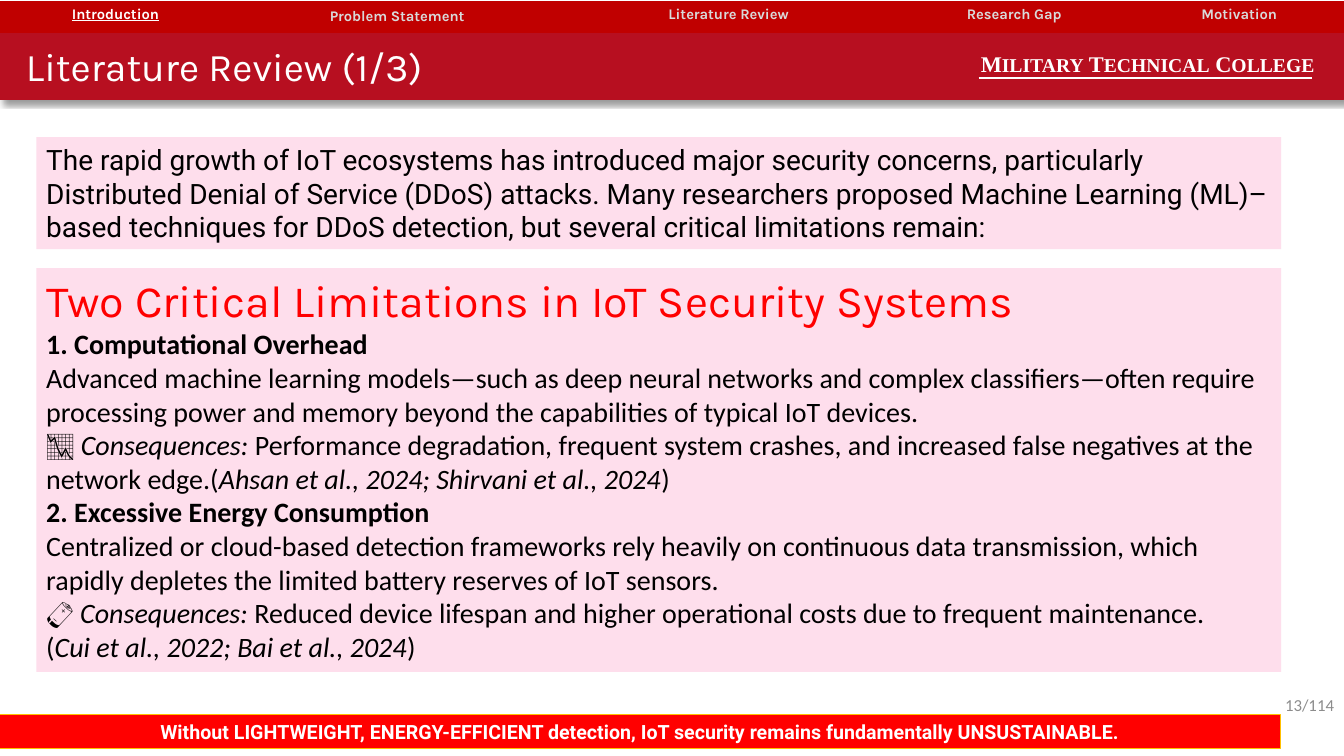
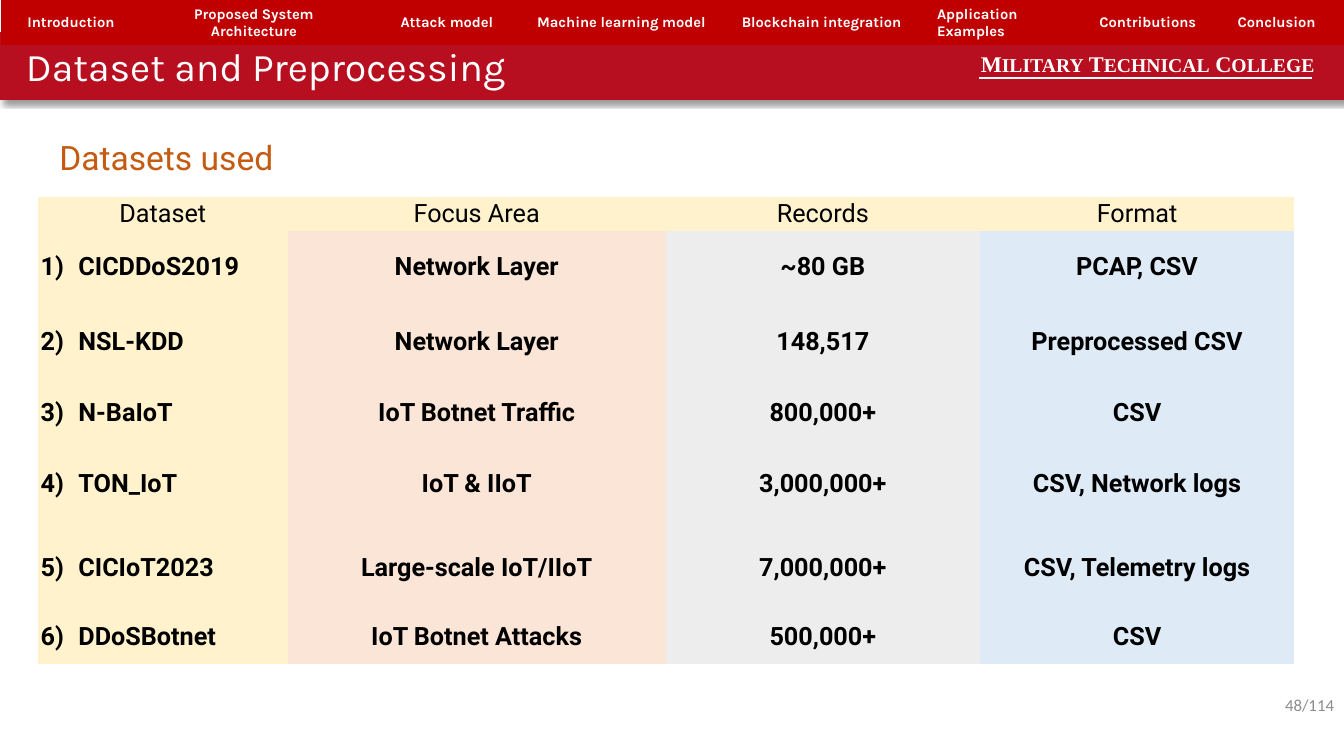
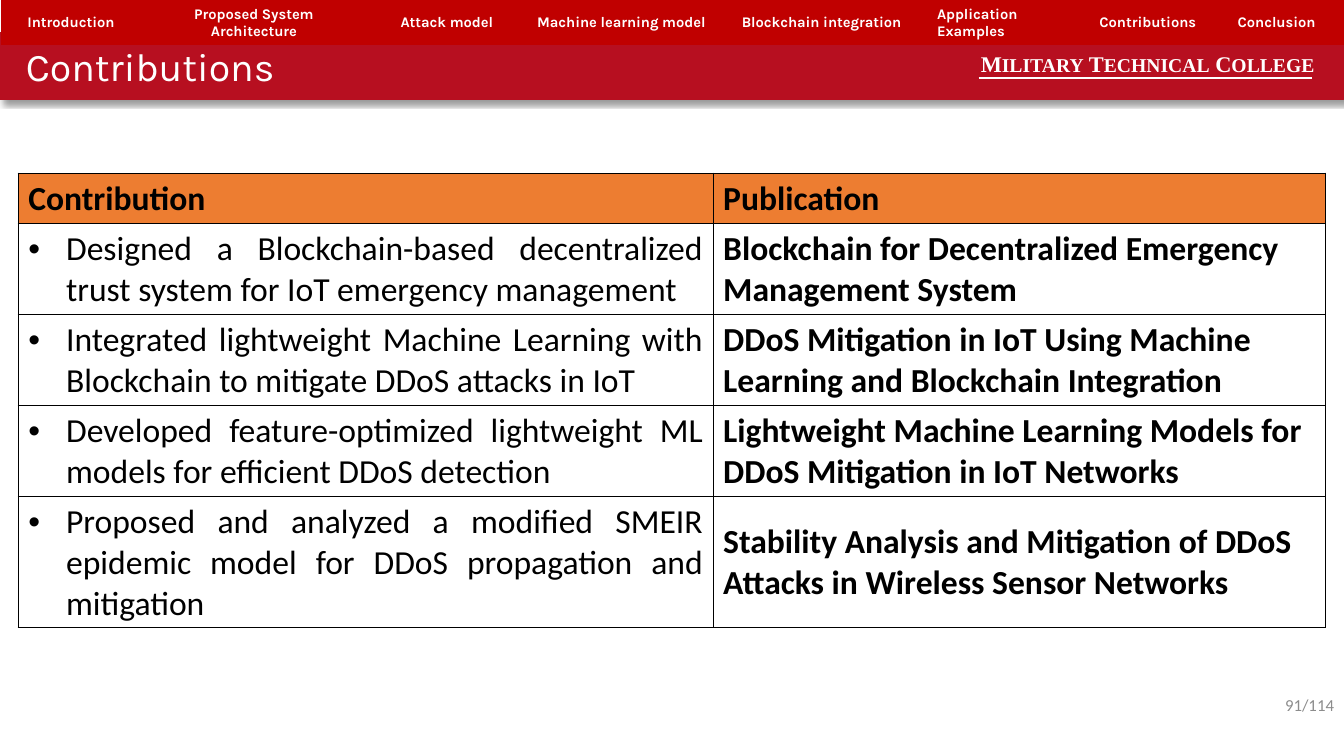
from lxml import etree
from pptx import Presentation
from pptx.dml.color import RGBColor
from pptx.enum.shapes import MSO_CONNECTOR, MSO_SHAPE
from pptx.enum.text import MSO_ANCHOR, PP_ALIGN
from pptx.oxml.ns import qn
from pptx.util import Pt

LEFT, CENTER, RIGHT, JUSTIFY = PP_ALIGN.LEFT, PP_ALIGN.CENTER, PP_ALIGN.RIGHT, PP_ALIGN.JUSTIFY
TOP, MIDDLE = MSO_ANCHOR.TOP, MSO_ANCHOR.MIDDLE
RECTANGLE, STRAIGHT = MSO_SHAPE.RECTANGLE, MSO_CONNECTOR.STRAIGHT

# Shared style
WIDTH, HEIGHT = 960, 540
PAGE_COUNT = 114
HEADING_FONT, BODY_FONT, TEXT_FONT = "Karla", "Roboto", "Calibri"
WORDMARK_FONT = "Times New Roman"
BLACK, WHITE, RED = "000000", "FFFFFF", "FF0000"
BAND, NAVIGATION, INACTIVE = "B70F20", "C00000", "D9D9D9"
PINK, GREY, GOLD = "FEDEEC", "8C8C8C", "FFC000"
ORANGE, BROWN = "ED7D31", "C55A11"
HANGING = 27


def rgb(value):
    return RGBColor.from_string(value)


def add_element(parent, tag, **attributes):
    """Append an XML child such as a:ln and return it."""
    values = {name: str(value) for name, value in attributes.items()}
    return etree.SubElement(parent, qn(tag), values)


def add_bullet(paragraph, bullet):
    """Hang a paragraph behind a sign, or behind a number such as 2)."""
    properties = paragraph._p.get_or_add_pPr()
    properties.set("marL", str(Pt(HANGING)))
    properties.set("indent", str(-Pt(HANGING)))
    if isinstance(bullet, int):
        add_element(properties, "a:buAutoNum", type="arabicParenR", startAt=bullet)
    else:
        add_element(properties, "a:buFont", typeface="Arial")
        add_element(properties, "a:buChar", char=bullet)


def write_text(text_frame, paragraphs, align=LEFT, bullet=None, **style):
    """Fill a frame from a string, or from lists of (text, own format) runs."""
    if isinstance(paragraphs, str):
        paragraphs = [[(paragraphs, {})]]
    text_frame.word_wrap = True
    for index, runs in enumerate(paragraphs):
        paragraph = text_frame.add_paragraph() if index else text_frame.paragraphs[0]
        paragraph.alignment = align
        if bullet:
            add_bullet(paragraph, bullet)
        for text, own_style in runs:
            look = {"font": TEXT_FONT, "size": 20, "color": BLACK, **style, **own_style}
            for line_number, line in enumerate(text.split("\n")):
                if line_number:
                    paragraph.add_line_break()
                if not line:
                    continue
                run = paragraph.add_run()
                run.text = line
                run.font.name = look["font"]
                run.font.size = Pt(look["size"])
                run.font.color.rgb = rgb(look["color"])
                run.font.bold = look.get("bold", False)
                run.font.italic = look.get("italic", False)
                run.font.underline = look.get("underline", False)


class Deck:
    def __init__(self):
        self.presentation = Presentation()
        self.presentation.slide_width = Pt(WIDTH)
        self.presentation.slide_height = Pt(HEIGHT)
        self.slide = None

    # Frame of every slide: page number, title band and wordmark
    def new_slide(self, title, page):
        self.slide = self.presentation.slides.add_slide(self.presentation.slide_layouts[6])
        self.text(744, 489, 216, 29, f"{page}/{PAGE_COUNT}", anchor=MIDDLE,
                  align=RIGHT, size=12, color=GREY)
        band = self.box(0, 23.5, WIDTH, 47.5, BAND, line=BAND)
        self.drop_shadow(band)
        self.text(11.5, 26.5, 618, 41, title, size=28, font=HEADING_FONT, color=WHITE)
        wordmark = []
        for index, word in enumerate(("MILITARY", "TECHNICAL", "COLLEGE")):
            initial = f" {word[0]}" if index else word[0]
            wordmark += [(initial, {"size": 16}), (word[1:], {"size": 14})]
        self.text(693.5, 32.5, 266.5, 26.5, [wordmark], font=WORDMARK_FONT,
                  color=WHITE, bold=True)
        self.rule(699, 937, 56)

    def text(self, left, top, width, height, paragraphs, anchor=TOP, **style):
        shape = self.slide.shapes.add_textbox(Pt(left), Pt(top), Pt(width), Pt(height))
        shape.text_frame.vertical_anchor = anchor
        write_text(shape.text_frame, paragraphs, **style)

    def box(self, left, top, width, height, fill, paragraphs="", line=None,
            anchor=TOP, **style):
        shape = self.slide.shapes.add_shape(
            RECTANGLE, Pt(left), Pt(top), Pt(width), Pt(height))
        shape.shadow.inherit = False
        shape.fill.solid()
        shape.fill.fore_color.rgb = rgb(fill)
        if line:
            shape.line.color.rgb = rgb(line)
            shape.line.width = Pt(0.75)
        else:
            shape.line.fill.background()
        shape.text_frame.vertical_anchor = anchor
        write_text(shape.text_frame, paragraphs, **style)
        return shape

    def drop_shadow(self, shape):
        effects = shape.element.spPr.find(qn("a:effectLst"))
        shadow = add_element(effects, "a:outerShdw", blurRad=Pt(4), dist=Pt(3),
                             dir=45 * 60000, algn="tl", rotWithShape=0)
        color = add_element(shadow, "a:srgbClr", val=BLACK)
        add_element(color, "a:alpha", val=40000)

    def rule(self, start, end, top):
        connector = self.slide.shapes.add_connector(
            STRAIGHT, Pt(start), Pt(top), Pt(end), Pt(top))
        connector.line.color.rgb = rgb(WHITE)
        connector.line.width = Pt(1.5)
        add_element(connector.element.spPr, "a:effectLst")

    def table(self, left, top, columns, rows):
        """Add an empty table with the given column widths and row heights."""
        frame = self.slide.shapes.add_table(
            len(rows), len(columns), Pt(left), Pt(top), Pt(sum(columns)), Pt(sum(rows)))
        table = frame.table
        table.first_row = table.horz_banding = False
        for column, width in zip(table.columns, columns):
            column.width = Pt(width)
        for row, height in zip(table.rows, rows):
            row.height = Pt(height)
        return table

    def cell(self, cell, text, fill=None, border=None, anchor=MIDDLE, margins=None, **style):
        properties = cell._tc.get_or_add_tcPr()
        for side in "LRTB":
            edge = add_element(properties, f"a:ln{side}", w=Pt(1))
            if border:
                add_element(add_element(edge, "a:solidFill"), "a:srgbClr", val=border)
            else:
                add_element(edge, "a:noFill")
        if fill:
            cell.fill.solid()
            cell.fill.fore_color.rgb = rgb(fill)
        else:
            cell.fill.background()
        cell.vertical_anchor = anchor
        if margins:
            cell.margin_left = cell.margin_right = Pt(margins[0])
            cell.margin_top = cell.margin_bottom = Pt(margins[1])
        write_text(cell.text_frame, text, **style)

    def navigation(self, left, top, height, entries):
        """Add the top strip from (label, width, own format) entries."""
        strip = self.table(left, top, [width for _, width, _ in entries], [height])
        for index, (label, _, own_style) in enumerate(entries):
            style = {"align": CENTER, "color": WHITE, **own_style}
            self.cell(strip.cell(0, index), label, fill=NAVIGATION, size=10.5,
                      font=HEADING_FONT, bold=True, **style)


BACKGROUND_ENTRIES = [
    ("Introduction", 165, {"underline": True, "anchor": TOP}),
    ("Problem Statement", 237.5, {"color": INACTIVE}),
    ("Literature Review", 236, {"color": INACTIVE, "anchor": TOP}),
    ("Research Gap", 172, {"color": INACTIVE, "anchor": TOP}),
    ("Motivation", 149.5, {"color": INACTIVE, "anchor": TOP}),
]
SYSTEM_ENTRIES = [
    ("Introduction", 100, {}),
    ("Proposed System Architecture", 161.5, {}),
    ("Attack model", 114, {}),
    ("Machine learning model", 135.5, {}),
    ("Blockchain integration", 150.5, {}),
    ("Application Examples", 114.5, {"align": LEFT}),
    ("Contributions", 86.5, {}),
    ("Conclusion", 97.5, {}),
]


def literature_review(deck):
    deck.new_slide("Literature Review (1/3)", 13)
    bold, italic = {"bold": True}, {"italic": True}

    # Introduction and the two limitations
    deck.box(25.9, 98, 889.2, 80, PINK,
             "The rapid growth of IoT ecosystems has introduced major security concerns, "
             "particularly Distributed Denial of Service (DDoS) attacks. Many researchers "
             "proposed Machine Learning (ML)–based techniques for DDoS detection, but "
             "several critical limitations remain:", anchor=MIDDLE, font=BODY_FONT)
    deck.box(25.9, 191.5, 889.2, 288.5, PINK, [
        [("Two Critical Limitations in IoT Security Systems",
          {"size": 32, "font": HEADING_FONT, "color": RED})],
        [("1. Computational Overhead\n", bold),
         ("Advanced machine learning models—such as deep neural networks and complex "
          "classifiers—often require processing power and memory beyond the capabilities "
          "of typical IoT devices.\n📉 ", {}),
         ("Consequences:", italic),
         (" Performance degradation, frequent system crashes, and increased false "
          "negatives at the network edge.(", {}),
         ("Ahsan et al., 2024; Shirvani et al., 2024", italic), (")", {})],
        [("2. Excessive Energy Consumption\n", bold),
         ("Centralized or cloud-based detection frameworks rely heavily on continuous "
          "data transmission, which rapidly depletes the limited battery reserves of "
          "IoT sensors.\n🔋 ", {}),
         ("Consequences:", italic),
         (" Reduced device lifespan and higher operational costs due to frequent "
          "maintenance.\n(", {}),
         ("Cui et al., 2022; Bai et al., 2024", italic), (")", {})],
    ])

    # Closing statement
    deck.box(0, 510.5, 914.4, 24.5, RED,
             "Without LIGHTWEIGHT, ENERGY-EFFICIENT detection, IoT security remains "
             "fundamentally UNSUSTAINABLE.", line=GOLD, align=CENTER, size=14,
             font=BODY_FONT, color=WHITE, bold=True)
    deck.navigation(0, 0.7, 23, BACKGROUND_ENTRIES)


def datasets(deck):
    deck.new_slide("Dataset and Preprocessing", 48)
    deck.text(35.3, 94.3, 484.5, 36, "Datasets used", size=24, font=BODY_FONT, color=BROWN)

    # Dataset table, one colour per column
    rows = [
        ("Dataset", "Focus Area", "Records", "Format"),
        ("CICDDoS2019", "Network Layer", "~80 GB", "PCAP, CSV"),
        ("NSL-KDD", "Network Layer", "148,517", "Preprocessed CSV"),
        ("N-BaIoT", "IoT Botnet Traffic", "800,000+", "CSV"),
        ("TON_IoT", "IoT & IIoT", "3,000,000+", "CSV, Network logs"),
        ("CICIoT2023", "Large-scale IoT/IIoT", "7,000,000+", "CSV, Telemetry logs"),
        ("DDoSBotnet", "IoT Botnet Attacks", "500,000+", "CSV"),
    ]
    fills = ("FFF2CC", "FBE5D6", "EDEDED", "DEEBF7")
    table = deck.table(27, 141, [178.5, 270, 224.5, 224.5],
                       [22.5, 50.5, 57, 44.5, 57, 62.5, 37.5])
    for row, values in enumerate(rows):
        for column, value in enumerate(values):
            numbered = row > 0 and column == 0
            deck.cell(table.cell(row, column), value,
                      fill=fills[column] if row else fills[0], margins=(2, 1.3),
                      align=LEFT if numbered else CENTER, bullet=row if numbered else None,
                      size=18, font=BODY_FONT, bold=row > 0)
    deck.navigation(0.7, 0, 26, SYSTEM_ENTRIES)


def contributions(deck):
    deck.new_slide("Contributions", 91)

    # Contributions beside their publications
    rows = [
        ("Contribution", "Publication"),
        ("Designed a Blockchain-based decentralized trust system for IoT emergency management",
         "Blockchain for Decentralized Emergency Management System"),
        ("Integrated lightweight Machine Learning with Blockchain to mitigate DDoS attacks in IoT",
         "DDoS Mitigation in IoT Using Machine Learning and Blockchain Integration"),
        ("Developed feature-optimized lightweight ML models for efficient DDoS detection",
         "Lightweight Machine Learning Models for DDoS Mitigation in IoT Networks"),
        ("Proposed and analyzed a modified SMEIR epidemic model for DDoS propagation and mitigation",
         "Stability Analysis and Mitigation of DDoS Attacks in Wireless Sensor Networks"),
    ]
    table = deck.table(13, 123.8, [496.4, 437.2], [35.6, 65, 65, 65, 93.6])
    for row, values in enumerate(rows):
        for column, value in enumerate(values):
            listed = row > 0 and column == 0
            deck.cell(table.cell(row, column), value, fill=None if row else ORANGE,
                      border=BLACK, align=JUSTIFY if listed else LEFT,
                      bullet="•" if listed else None, size=24, bold=not listed)
    deck.navigation(0.7, 0, 26, SYSTEM_ENTRIES)


def main():
    deck = Deck()
    literature_review(deck)
    datasets(deck)
    contributions(deck)
    deck.presentation.save("out.pptx")


if __name__ == "__main__":
    main()
